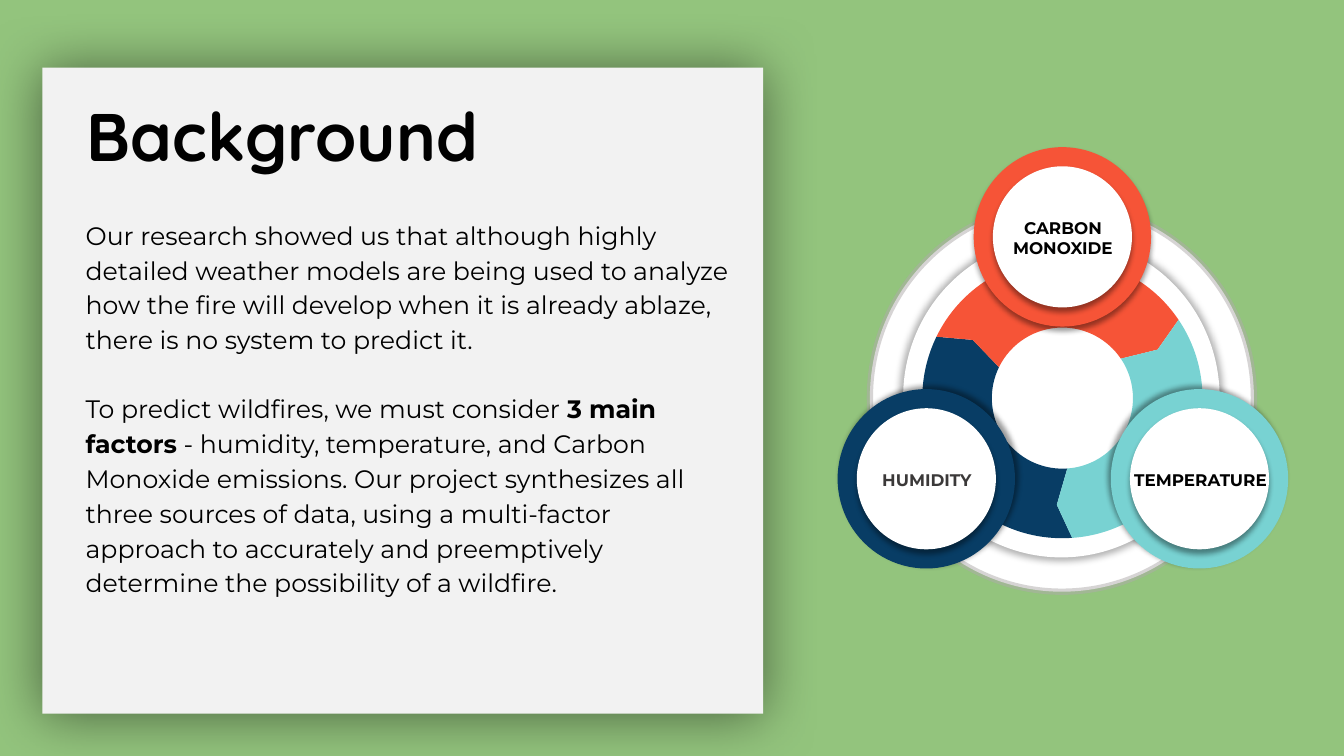
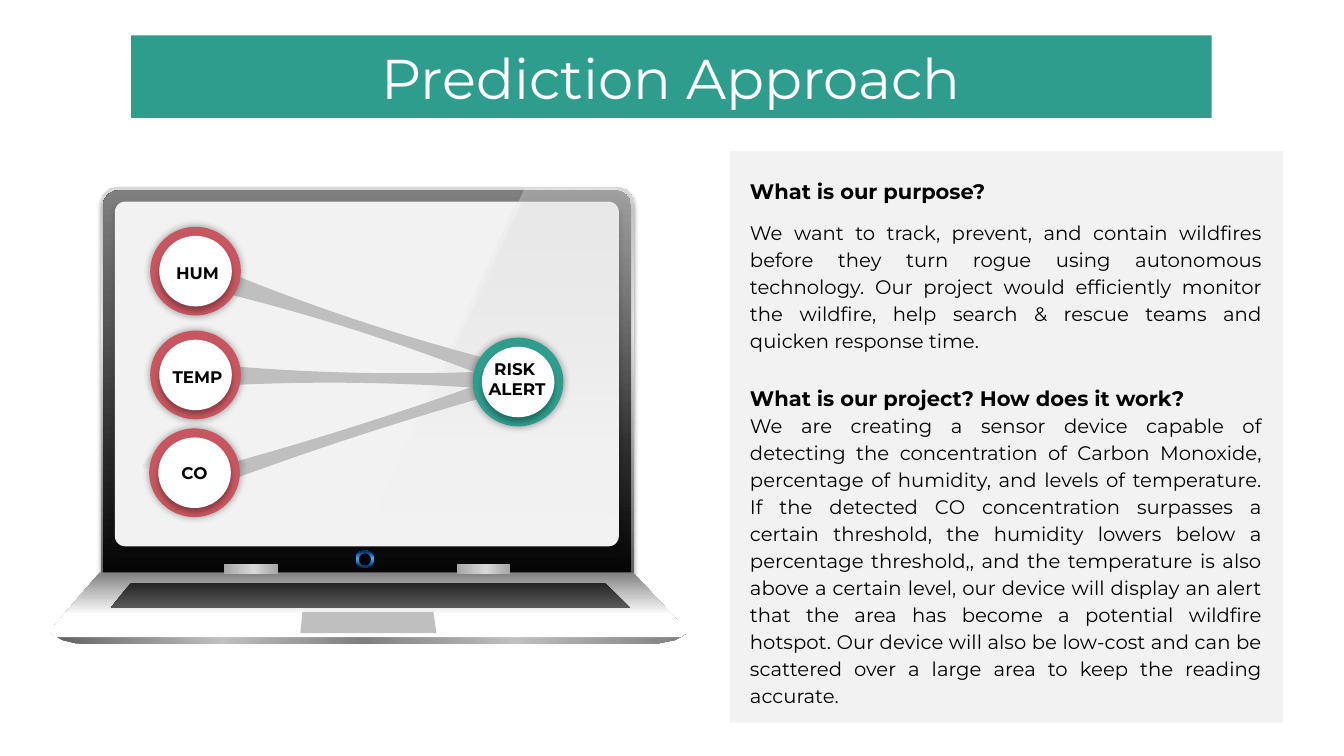
from dataclasses import dataclass
from math import cos, radians, sin, tan

from lxml.etree import SubElement
from pptx import Presentation
from pptx.dml.color import RGBColor
from pptx.enum.shapes import MSO_SHAPE
from pptx.enum.text import MSO_ANCHOR, MSO_AUTO_SIZE, PP_ALIGN
from pptx.oxml.ns import qn
from pptx.util import Emu, Pt

EMU_PER_PX = 9144
TITLE_ONLY = 5
BODY_FONT, DISPLAY_FONT = "Montserrat", "Quicksand"
BLACK, WHITE, PANEL, SILVER = "000000", "FFFFFF", "F2F2F2", "BFBFBF"
GREEN, TEAL, ROSE = "93C47D", "2F9D8D", "C85660"
NAVY, AQUA, ORANGE = "083D65", "78D2D2", "F65437"

Point = tuple[float, float]


@dataclass(frozen=True)
class Curve:
    controls: tuple[Point, Point]
    end: Point


@dataclass(frozen=True)
class Box:
    left: int
    top: int
    width: int
    height: int

    def inset(self, gap: int) -> "Box":
        return Box(self.left + gap, self.top + gap, self.width - 2 * gap, self.height - 2 * gap)


@dataclass(frozen=True)
class Shadow:
    opacity: int
    blur: float
    distance: float
    angle: int
    scale: int = 100


@dataclass(frozen=True)
class Gradient:
    stops: tuple
    angle: int


@dataclass(frozen=True)
class Span:
    text: str
    size: int
    bold: bool = False
    color: str = BLACK
    font: str = BODY_FONT


@dataclass(frozen=True)
class Para:
    spans: tuple[Span, ...]
    align: PP_ALIGN = PP_ALIGN.LEFT
    spacing: float = 1.15
    before: float = 0


@dataclass(frozen=True)
class Part:
    kind: MSO_SHAPE
    box: Box
    paint: str | Gradient
    radius: float | None = None
    shadow: Shadow | None = None


@dataclass(frozen=True)
class Node:
    box: Box
    rim: int
    color: str
    halo: Shadow
    depth: Shadow
    lines: tuple[str, ...]
    label: Box
    ink: str = BLACK


PANEL_SHADOW = Shadow(50, 40.5, 1.5, 90)
DISC_SHADOW = Shadow(30, 5, 0, 0, 102)
LIFT, SMALL_LIFT = Shadow(40, 4, 3, 90), Shadow(30, 4, 3, 90)
SCREEN_SHADOW = Shadow(25, 3, 2, 90)
HINGE = Gradient(((0, "A5A5A5"), (55, "D8D8D8"), (100, "A5A5A5")), 0)


def px(length: float) -> Emu:
    return Emu(round(length * EMU_PER_PX))


def rgb(value: str) -> RGBColor:
    return RGBColor.from_string(value)


def edges(box: Box) -> tuple[Emu, ...]:
    return px(box.left), px(box.top), px(box.width), px(box.height)


def add_child(parent, tag: str, **attributes):
    child = SubElement(parent, qn(tag))
    for name, value in attributes.items():
        child.set(name, str(value))
    return child


def set_alpha(color_element, percent: int) -> None:
    add_child(color_element, "a:alpha", val=percent * 1000)


def set_gradient(shape, gradient: Gradient) -> None:
    shape.fill.gradient()
    shape.fill.gradient_angle = (360 - gradient.angle) % 360
    stop_list = shape._element.spPr.find(qn("a:gradFill")).find(qn("a:gsLst"))
    for old_stop in list(stop_list):
        stop_list.remove(old_stop)
    for position, color, *alpha in gradient.stops:
        stop = add_child(stop_list, "a:gs", pos=position * 1000)
        color_element = add_child(stop, "a:srgbClr", val=color)
        if alpha:
            set_alpha(color_element, alpha[0])


def set_shadow(shape, shadow: Shadow | None) -> None:
    shape.shadow.inherit = False
    if shadow is None:
        return
    effects = shape._element.spPr.find(qn("a:effectLst"))
    outer = add_child(effects, "a:outerShdw", blurRad=Pt(shadow.blur), dist=Pt(shadow.distance),
                      dir=shadow.angle * 60000, sx=shadow.scale * 1000, sy=shadow.scale * 1000,
                      algn="ctr", rotWithShape=0)
    set_alpha(add_child(outer, "a:srgbClr", val=BLACK), shadow.opacity)


def finish(shape, paint: str | Gradient | None, shadow: Shadow | None = None):
    if paint is None:
        shape.fill.background()
    elif isinstance(paint, Gradient):
        set_gradient(shape, paint)
    else:
        shape.fill.solid()
        shape.fill.fore_color.rgb = rgb(paint)
    shape.line.fill.background()
    set_shadow(shape, shadow)
    return shape


def set_line(shape, color: str, width: float, opacity: int) -> None:
    shape.line.color.rgb = rgb(color)
    shape.line.width = Pt(width)
    set_alpha(shape.line._ln.find(qn("a:solidFill")).find(qn("a:srgbClr")), opacity)


def draw_part(page, part: Part):
    shape = page.shapes.add_shape(part.kind, *edges(part.box))
    if part.radius is not None:
        shape.adjustments[0] = part.radius
    return finish(shape, part.paint, part.shadow)


def draw_outline(page, start: Point, steps: list[Point | Curve], paint: str | Gradient | None,
                 shadow: Shadow | None = None, close: bool = True):
    ends = [step.end if isinstance(step, Curve) else step for step in steps]
    builder = page.shapes.build_freeform(px(start[0]), px(start[1]), scale=1.0)
    builder.add_line_segments([(px(x), px(y)) for x, y in ends], close=close)
    shape = builder.convert_to_shape()
    segments = list(shape._element.iter(qn("a:lnTo")))
    for step, segment in zip(steps, segments):
        if isinstance(step, Curve):
            bend = add_child(segment.getparent(), "a:cubicBezTo")
            segment.getparent().replace(segment, bend)
            for x, y in step.controls:
                add_child(bend, "a:pt", x=px(x) - shape.left, y=px(y) - shape.top)
            bend.append(segment[0])
    return finish(shape, paint, shadow)


def polar(center: Point, radius: float, angle: float) -> Point:
    return center[0] + radius * cos(radians(angle)), center[1] + radius * sin(radians(angle))


def arc(center: Point, radius: float, start: int, end: int) -> list[Curve]:
    low, high = min(start, end), max(start, end)
    inner = [angle for angle in range(0, 540, 90) if low < angle < high]
    stops = [low, *inner, high] if start < end else [high, *inner[::-1], low]
    curves = []
    for first, last in zip(stops, stops[1:]):
        reach = radius * 4 / 3 * tan(radians(last - first) / 4)
        leave, arrive = polar(center, radius, first), polar(center, radius, last)
        curves.append(Curve((polar(leave, reach, first + 90), polar(arrive, reach, last - 90)), arrive))
    return curves


def fill_frame(frame, paras: list[Para], anchor: MSO_ANCHOR = MSO_ANCHOR.TOP) -> None:
    frame.word_wrap = True
    frame.auto_size = MSO_AUTO_SIZE.NONE
    frame.vertical_anchor = anchor
    frame.margin_left = frame.margin_right = frame.margin_top = frame.margin_bottom = 0
    for index, para in enumerate(paras):
        paragraph = frame.add_paragraph() if index else frame.paragraphs[0]
        paragraph.alignment = para.align
        paragraph.line_spacing = para.spacing
        paragraph.space_before = Pt(para.before)
        for span in para.spans:
            run = paragraph.add_run()
            run.text = span.text
            run.font.name = span.font
            run.font.size = Pt(span.size)
            run.font.bold = span.bold
            run.font.color.rgb = rgb(span.color)


def draw_text(page, box: Box, paras: list[Para]) -> None:
    fill_frame(page.shapes.add_textbox(*edges(box)).text_frame, paras)


def new_page(deck, background: str):
    page = deck.slides.add_slide(deck.slide_layouts[TITLE_ONLY])
    page.background.fill.solid()
    page.background.fill.fore_color.rgb = rgb(background)
    return page


def place_title(page, box: Box, para: Para, band: str | None = None) -> None:
    title = page.shapes.title
    title.left, title.top, title.width, title.height = edges(box)
    if band:
        geometry = add_child(title._element.spPr, "a:prstGeom", prst="roundRect")
        add_child(add_child(geometry, "a:avLst"), "a:gd", name="adj", fmla="val 50000")
        finish(title, band)
    fill_frame(title.text_frame, [para], MSO_ANCHOR.MIDDLE)
    page.shapes._spTree.append(title._element)


def draw_node(page, node: Node) -> None:
    draw_part(page, Part(MSO_SHAPE.OVAL, node.box, node.color, shadow=node.halo))
    draw_part(page, Part(MSO_SHAPE.OVAL, node.box.inset(node.rim), WHITE, shadow=node.depth))
    draw_text(page, node.label, [Para((Span(line, 12, True, node.ink),), PP_ALIGN.CENTER, 1.0)
                                 for line in node.lines])


def draw_link(page, box: Box, angle: float) -> None:
    right, bottom = box.left + box.width, box.top + box.height
    middle, sag = box.left + box.width / 2, box.height / 2 - 5
    sixth = box.width / 6

    def waist(x: float, y: float, side: int, bend: float) -> list[Curve]:
        return [Curve(((x + side * sixth, y + bend * 2 / 3), (x + side * 2 * sixth, y + bend)),
                      (middle, y + bend)),
                Curve(((middle + side * sixth, y + bend), (middle + side * 2 * sixth, y + bend * 2 / 3)),
                      (middle + side * 3 * sixth, y))]

    steps = [*waist(box.left, box.top, 1, sag), (right, bottom), *waist(right, bottom, -1, -sag)]
    draw_outline(page, (box.left, box.top), steps, SILVER).rotation = angle


def draw_cycle(page) -> None:
    rim = draw_part(page, Part(MSO_SHAPE.OVAL, Box(863, 202, 381, 385), WHITE))
    set_line(rim, "AFABAB", 4.5, 50)
    draw_part(page, Part(MSO_SHAPE.OVAL, Box(896, 235, 314, 318), WHITE, shadow=DISC_SHADOW))
    center = (1054, 395)
    for index, color in enumerate((NAVY, ORANGE, AQUA)):
        start = 86 + 120 * index
        end = start + 120
        steps = [*arc(center, 139, start, end), polar(center, 106, end + 7), polar(center, 70, end),
                 *arc(center, 70, end, start), polar(center, 106, start + 7)]
        draw_outline(page, polar(center, 139, start), steps, color)


def draw_laptop(page) -> None:
    rounded, oval, rect = MSO_SHAPE.ROUNDED_RECTANGLE, MSO_SHAPE.OVAL, MSO_SHAPE.RECTANGLE
    lid = Gradient(((0, "595959"), (66, WHITE), (100, "D8D8D8")), 270)
    bezel = Gradient(((0, BLACK), (100, "7F7F7F")), 270)
    deck_top = Gradient(((0, "7F7F7F"), (34, SILVER), (70, WHITE), (100, WHITE)), 90)
    lip = Gradient(((0, "5F5F5F"), (27, SILVER), (49, "7F7F7F"), (73, SILVER), (100, "7F7F7F")), 0)
    button = Gradient(((0, "003366"), (11, "003366"), (55, "3FADFF"), (92, "003366"), (100, "003366")), 270)
    keys = Gradient(((0, "262626"), (100, "595959")), 90)
    glare = Gradient(((0, WHITE, 1), (21, WHITE, 1), (100, WHITE, 30)), 270)
    for part in (Part(rounded, Box(100, 186, 529, 416), lid, 0.04, SCREEN_SHADOW),
                 Part(rounded, Box(102, 189, 524, 394), bezel, 0.04, SCREEN_SHADOW),
                 Part(rounded, Box(114, 200, 500, 342), PANEL, 0.03, SCREEN_SHADOW)):
        draw_part(page, part)
    draw_outline(page, (52, 628), [(673, 628), (679, 623), (628, 568), (99, 568), (52, 623)], deck_top)
    draw_outline(page, (50, 627), [(681, 628), (680, 629), (677, 631), (669, 635), (654, 638), (628, 639),
                                   (99, 639), (75, 638), (62, 635), (53, 630), (51, 629)], lip)
    for part in (Part(oval, Box(353, 546, 18, 18), button), Part(oval, Box(356, 549, 12, 12), BLACK),
                 Part(rect, Box(222, 560, 54, 9), HINGE), Part(rect, Box(453, 560, 53, 9), HINGE)):
        draw_part(page, part)
    draw_outline(page, (130, 578), [(600, 578), (625, 603), (110, 603)], keys)
    draw_outline(page, (53, 621), [(678, 621), (681, 624), (681, 628), (676, 632),
                                   (55, 632), (50, 628), (50, 624)], WHITE)
    draw_outline(page, (300, 607), [(430, 607), (433, 628), (298, 628)], SILVER)
    draw_outline(page, (520, 187), [(607, 187), *arc((607, 207), 20, 270, 360), (627, 506), (375, 503)],
                 glare, SCREEN_SHADOW)


def build_background(deck) -> None:
    page = new_page(deck, GREEN)
    draw_part(page, Part(MSO_SHAPE.RECTANGLE, Box(42, 67, 715, 641), PANEL, shadow=PANEL_SHADOW))
    place_title(page, Box(86, 89, 664, 99),
                Para((Span("Background", 48, True, font=DISPLAY_FONT),), spacing=0.9))
    draw_text(page, Box(85, 214, 643, 442), [
        Para((Span("Our research showed us that although highly detailed weather models are being used to analyze how the fire will develop when it is already ablaze, there is no system to predict it.", 18),)),
        Para((Span("To predict wildfires, we must consider ", 18), Span("3 main factors", 18, True),
              Span(" - humidity, temperature, and Carbon Monoxide emissions. Our project synthesizes all three sources of data, using a multi-factor approach to accurately and preemptively determine the possibility of a wildfire.", 18)), before=24.6)])
    draw_cycle(page)
    for left, top, color, angle, line, label, ink in (
            (1102, 386, AQUA, 225, "TEMPERATURE", Box(1107, 466, 168, 17), BLACK),
            (966, 146, ORANGE, 90, "CARBON MONOXIDE", Box(997, 216, 115, 39), BLACK),
            (831, 386, NAVY, 315, "HUMIDITY", Box(862, 466, 115, 17), "3B3939")):
        draw_node(page, Node(Box(left, top, 176, 178), 19, color, Shadow(40, 4, 3, angle), LIFT,
                             (line,), label, ink))


def build_prediction(deck) -> None:
    page = new_page(deck, WHITE)
    draw_laptop(page)
    draw_part(page, Part(MSO_SHAPE.RECTANGLE, Box(724, 150, 549, 567), PANEL))
    place_title(page, Box(130, 35, 1072, 82),
                Para((Span("Prediction Approach", 40, color=WHITE),), PP_ALIGN.CENTER, 1.0), TEAL)
    justify = PP_ALIGN.JUSTIFY
    draw_text(page, Box(744, 173, 508, 534), [
        Para((Span("What is our purpose?", 15, True),), justify),
        Para((Span("We want to track, prevent, and contain wildfires before they turn rogue using autonomous technology. Our project would efficiently monitor the wildfire, help search & rescue teams and quicken response time.", 14),), justify, before=10),
        Para((Span("What is our project? How does it work? ", 15, True),), justify, before=20.6),
        Para((Span("We are creating a sensor device capable of detecting the concentration of Carbon Monoxide, percentage of humidity, and levels of temperature. If the detected CO concentration surpasses a certain threshold, the humidity lowers below a percentage threshold,, and the temperature is also above a certain level, our device will display an alert that the area has become a potential wildfire hotspot. Our device will also be low-cost and can be scattered over a large area to keep the reading accurate. ", 14),), justify)])
    for box, angle in ((Box(215, 316, 301, 21), 18), (Box(201, 414, 334, 18), 342.2),
                       (Box(235, 366, 256, 18), 1)):
        draw_link(page, box, angle)
    crest = (193, 495)
    halo = draw_outline(page, polar(crest, 59, 212), arc(crest, 59, 212, 328), None, close=False)
    set_line(halo, "7F7F7F", 3.25, 10)
    for left, top, color, lines, label in (
            (149, 225, ROSE, ("HUM",), Box(166, 261, 60, 19)),
            (148, 425, ROSE, ("CO",), Box(163, 459, 60, 19)),
            (149, 328, ROSE, ("TEMP",), Box(166, 364, 60, 19)),
            (469, 335, TEAL, ("RISK ", "ALERT"), Box(461, 356, 104, 30))):
        draw_node(page, Node(Box(left, top, 90, 88), 9, color, DISC_SHADOW, SMALL_LIFT, lines, label))


def main() -> None:
    deck = Presentation()
    deck.slide_width, deck.slide_height = px(4000 / 3), px(750)
    build_background(deck)
    build_prediction(deck)
    deck.save("out.pptx")


if __name__ == "__main__":
    main()
